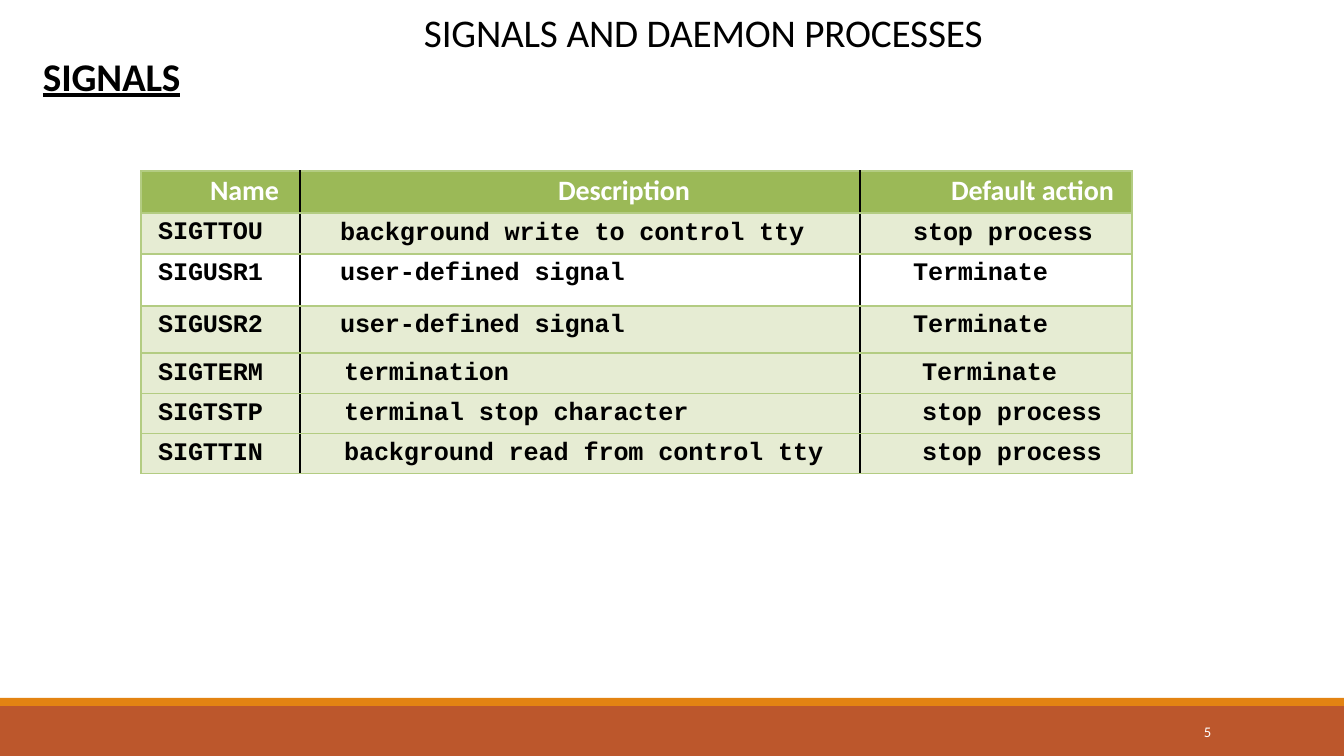
from dataclasses import dataclass

from lxml.etree import SubElement
from pptx import Presentation
from pptx.dml.color import RGBColor as RGB
from pptx.enum.shapes import MSO_SHAPE as SHAPE
from pptx.oxml.ns import qn
from pptx.util import Pt

EMU_PER_PX = 914400 / 100.8
NO_STYLE = "{2D5ABB26-0587-4C30-8999-92F81FD0307C}"
TIGHT = -0.1


@dataclass(frozen=True)
class Theme:
    sans: str = "Calibri"
    mono: str = "Courier New"
    black: str = "000000"
    white: str = "FFFFFF"
    footer: str = "BC572C"
    stripe: str = "E38312"
    header: str = "9BB957"
    band: str = "E6ECD3"
    border: str = "B3CC82"
    heading_size: float = 28
    header_size: float = 20
    body_size: float = 18
    number_size: float = 10.5
    border_width: float = 0.96


@dataclass(frozen=True)
class Row:
    cells: tuple
    height: int
    indents: tuple
    leading: tuple = (21.5, 21.5, 21.5)
    before: float = 0
    filled: bool = True


THEME = Theme()
NEAR, FAR = (7, 30, 43), (7, 34, 52)
FREE = (None, None, None)
COLUMNS = (159, 560, 272)
HEADER = Row((["Name"], ["Description"], ["Default ", "action"]), 42, (59, 248, 81), (22.8, 22.8, 22.8))
SIGNALS = (
    Row((["SIGTTOU"], ["background write to control tty"], ["stop process"]), 41, NEAR, (None, 21.5, 21.5)),
    Row((["SIGUSR1"], ["user-defined signal"], ["Terminate"]), 52, NEAR, FREE, 5.6, False),
    Row((["SIGUSR2"], ["user-defined signal"], ["Terminate"]), 47, NEAR, FREE, 4.1),
    Row((["SIGTERM"], ["termination"], ["Terminate"]), 40, FAR),
    Row((["SIGTSTP"], ["terminal stop character"], ["stop process"]), 40, FAR),
    Row((["SIGTTIN"], ["background read from control tty"], ["stop process"]), 40, FAR),
)


def px(n):
    return round(n * EMU_PER_PX)


def add_run(p, text, font, size, color, bold=False, underline=False, spacing=0):
    r = p.add_run()
    r.text = text
    r.font.name = font
    r.font.size = Pt(size)
    r.font.bold = bold
    r.font.underline = underline
    r.font.color.rgb = RGB.from_string(color)
    if spacing:
        r.font._element.set("spc", str(round(spacing * 100)))


def format_paragraph(p, indent, leading=None, before=0):
    pPr = p._p.get_or_add_pPr()
    pPr.set("marL", str(px(indent)))
    pPr.set("indent", "0")
    p.space_before = Pt(before)
    if leading:
        p.line_spacing = Pt(leading)


def add_bar(slide, top, height, color):
    sp = slide.shapes.add_shape(SHAPE.RECTANGLE, 0, px(top), px(1344), px(height))
    sp.shadow.inherit = False
    sp.fill.solid()
    sp.fill.fore_color.rgb = RGB.from_string(color)
    sp.line.fill.background()


def add_label(slide, box, text, size, color, indent, inset=1, leading=None, before=1, **style):
    tf = slide.shapes.add_textbox(*map(px, box)).text_frame
    tf.word_wrap = True
    tf.margin_left = tf.margin_right = tf.margin_bottom = 0
    tf.margin_top = px(inset)
    p = tf.paragraphs[0]
    format_paragraph(p, indent, leading, before)
    add_run(p, text, THEME.sans, size, color, **style)


def add_border(cell, side, color):
    tcPr = cell._tc.get_or_add_tcPr()
    ln = SubElement(tcPr, qn(f"a:ln{side}"), w=str(Pt(THEME.border_width)))
    SubElement(SubElement(ln, qn("a:solidFill")), qn("a:srgbClr"), val=color)


def style_cell(cell, column, fill):
    last = len(COLUMNS) - 1
    add_border(cell, "L", THEME.border if column == 0 else THEME.black)
    add_border(cell, "R", THEME.border if column == last else THEME.black)
    for side in "TB":
        add_border(cell, side, THEME.border)
    if fill:
        cell.fill.solid()
        cell.fill.fore_color.rgb = RGB.from_string(fill)
    else:
        cell.fill.background()


def fill_row(table, index, row, font, size, color, fill):
    table.rows[index].height = px(row.height)
    for column, texts in enumerate(row.cells):
        cell = table.cell(index, column)
        style_cell(cell, column, fill if row.filled else None)
        p = cell.text_frame.paragraphs[0]
        format_paragraph(p, row.indents[column], row.leading[column], row.before)
        for i, text in enumerate(texts):
            add_run(p, text, font, size, color, bold=True, spacing=0 if i else TIGHT)


def add_signal_table(slide, left, top):
    rows = (HEADER, *SIGNALS)
    height = sum(row.height for row in rows)
    frame = slide.shapes.add_table(len(rows), len(COLUMNS), px(left), px(top), px(sum(COLUMNS)), px(height))
    table = frame.table
    table.first_row = table.horz_banding = False
    table._tbl.tblPr.find(qn("a:tableStyleId")).text = NO_STYLE
    for column, width in zip(table.columns, COLUMNS):
        column.width = px(width)
    fill_row(table, 0, HEADER, THEME.sans, THEME.header_size, THEME.white, THEME.header)
    for index, row in enumerate(SIGNALS, 1):
        fill_row(table, index, row, THEME.mono, THEME.body_size, THEME.black, THEME.band)


def main():
    prs = Presentation()
    prs.slide_width, prs.slide_height = px(1344), px(756)
    slide = prs.slides.add_slide(prs.slide_layouts[6])
    add_bar(slide, 706, 50, THEME.footer)
    add_bar(slide, 698, 8, THEME.stripe)
    add_label(slide, (415, 7, 684, 128), "SIGNALS AND DAEMON PROCESSES",
              THEME.heading_size, THEME.black, 9, spacing=TIGHT)
    add_label(slide, (1201, 725, 28, 16), "5", THEME.number_size, THEME.white, 3,
              inset=0, leading=11, before=0)
    add_label(slide, (42, 51, 141, 48), "SIGNALS", THEME.heading_size, THEME.black, 1,
              bold=True, underline=True, spacing=TIGHT)
    add_signal_table(slide, 141, 171)
    prs.save("out.pptx")


if __name__ == "__main__":
    main()
